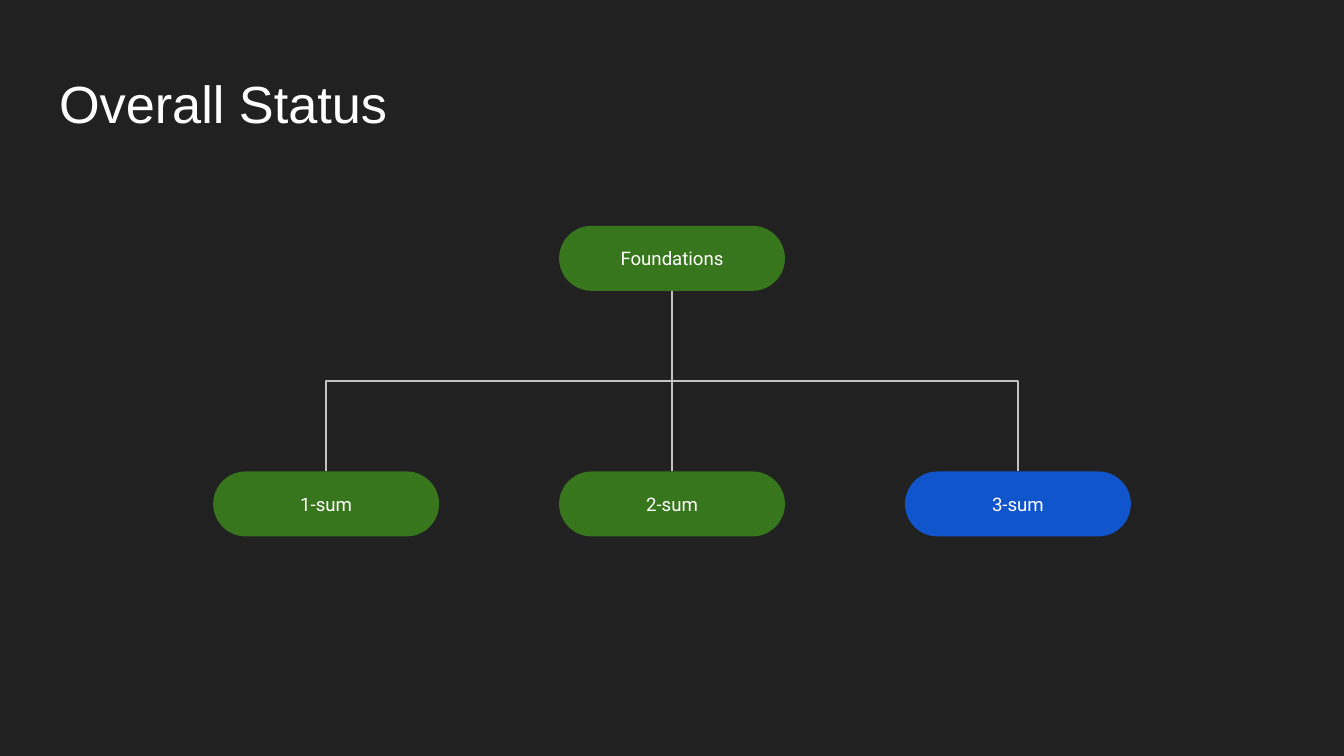
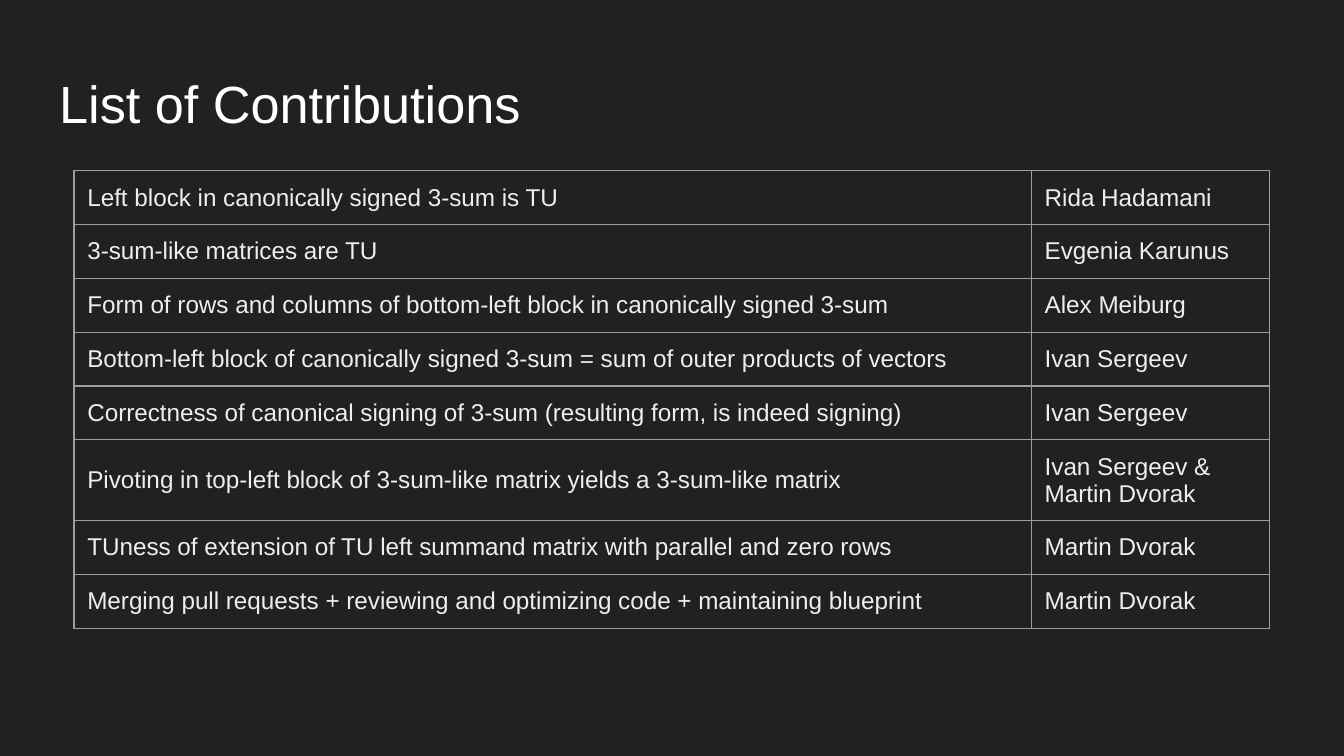
"""Build the status tree and contribution table slides."""
from lxml import etree
from pptx import Presentation
from pptx.dml.color import RGBColor
from pptx.enum import shapes, text
from pptx.oxml import ns
from pptx.util import Pt

COLORS = {
    "background": "212121", "title": "FFFFFF", "label": "FFFFFF", "cell": "EEEEEE",
    "done": "38761D", "active": "1155CC", "branch": "C2C2C2", "border": "9E9E9E",
}
FONTS = {
    "title": {"name": "Arial", "size": Pt(28), "bold": False},
    "label": {"name": "Roboto", "size": Pt(10), "bold": False},
    "cell": {"name": "Arial", "size": Pt(13), "bold": False},
}
INSETS = {f"margin_{side}": Pt(7.2) for side in ("left", "top", "right", "bottom")}
TITLE_BOX = {"left": Pt(24.5), "top": Pt(35), "width": Pt(671), "height": Pt(45)}
TITLE_FRAME = {"vertical_anchor": text.MSO_ANCHOR.TOP, "word_wrap": True,
               "auto_size": text.MSO_AUTO_SIZE.NONE, **INSETS}
LABEL_FRAME = {"vertical_anchor": text.MSO_ANCHOR.MIDDLE, "word_wrap": True, **INSETS}

STATUS_TITLE = "Overall Status"
ROOT = ("Foundations", "done")
SUMS = [("1-sum", "done"), ("2-sum", "done"), ("3-sum", "active")]

CONTRIBUTIONS_TITLE = "List of Contributions"
CONTRIBUTIONS = [
    ("Left block in canonically signed 3-sum is TU", "Rida Hadamani"),
    ("3-sum-like matrices are TU", "Evgenia Karunus"),
    ("Form of rows and columns of bottom-left block in canonically signed 3-sum", "Alex Meiburg"),
    ("Bottom-left block of canonically signed 3-sum = sum of outer products of vectors", "Ivan Sergeev"),
    ("Correctness of canonical signing of 3-sum (resulting form, is indeed signing)", "Ivan Sergeev"),
    ("Pivoting in top-left block of 3-sum-like matrix yields a 3-sum-like matrix",
     "Ivan Sergeev & Martin Dvorak"),
    ("TUness of extension of TU left summand matrix with parallel and zero rows", "Martin Dvorak"),
    ("Merging pull requests + reviewing and optimizing code + maintaining blueprint", "Martin Dvorak"),
]

SLIDE_W, SLIDE_H = 720, 405
NODE_W, NODE_H, NODE_STEP = 121, 34.8, 185.3
ROOT_TOP, SUMS_TOP = 121, 252.6
TABLE_LEFT, TABLE_TOP = 39.6, 91.5
COLUMN_WIDTHS = (512.9, 127.7)
ROW_H, TWO_LINE_ROW_H = 28.85, 43.3
LINE_W = 0.75


def rgb(role):
    return RGBColor.from_string(COLORS[role])


def apply(target, values):
    for attribute, value in values.items():
        setattr(target, attribute, value)


def write(frame, words, role, align=text.PP_ALIGN.LEFT, spacing=1.0):
    paragraph = frame.paragraphs[0]
    apply(paragraph, {"alignment": align, "line_spacing": spacing})
    run = paragraph.add_run()
    run.text = words
    apply(run.font, FONTS[role])
    run.font.color.rgb = rgb(role)


def add_titled_slide(deck, words):
    slide = deck.slides.add_slide(deck.slide_layouts[5])
    title = slide.shapes.title
    apply(title, TITLE_BOX)
    apply(title.text_frame, TITLE_FRAME)
    write(title.text_frame, words, "title", spacing=0.9)
    return slide


def add_node(slide, words, status, center, top):
    node = slide.shapes.add_shape(shapes.MSO_SHAPE.ROUNDED_RECTANGLE, Pt(center - NODE_W / 2),
                                  Pt(top), Pt(NODE_W), Pt(NODE_H))
    node.adjustments[0] = 0.5
    node.shadow.inherit = False
    node.fill.solid()
    node.fill.fore_color.rgb = rgb(status)
    node.line.fill.background()
    apply(node.text_frame, LABEL_FRAME)
    write(node.text_frame, words, "label", text.PP_ALIGN.CENTER)
    return node


def add_branch(slide, root, leaf, offset):
    branch = slide.shapes.add_connector(shapes.MSO_CONNECTOR.ELBOW, 0, 0, 0, 0)
    ends = [(root, 2), (leaf, 0)]
    rightward = offset > 0
    begin, end = ends if rightward else reversed(ends)
    branch.begin_connect(*begin)
    branch.end_connect(*end)
    drop, spread = SUMS_TOP - ROOT_TOP - NODE_H, abs(offset)
    middle_x = (SLIDE_W + offset) / 2
    middle_y = ROOT_TOP + NODE_H + drop / 2
    apply(branch, {"left": Pt(middle_x - drop / 2), "top": Pt(middle_y - spread / 2),
                   "width": Pt(drop), "height": Pt(spread)})
    properties = branch._element.spPr
    turn = {"rot": "16200000", "flipH": str(int(rightward)), "flipV": "0"}
    for key, value in turn.items():
        properties.find(ns.qn("a:xfrm")).set(key, value)
    branch.line.color.rgb = rgb("branch")
    branch.line.width = Pt(LINE_W)
    etree.SubElement(properties, ns.qn("a:effectLst"))


def add_borders(cell):
    properties = cell._tc.get_or_add_tcPr()
    for side in ("lnL", "lnR", "lnT", "lnB"):
        border = etree.SubElement(properties, ns.qn(f"a:{side}"), w=str(Pt(LINE_W)))
        fill = etree.SubElement(border, ns.qn("a:solidFill"))
        etree.SubElement(fill, ns.qn("a:srgbClr"), val=COLORS["border"])


def build_status(deck):
    slide = add_titled_slide(deck, STATUS_TITLE)
    root = add_node(slide, *ROOT, SLIDE_W / 2, ROOT_TOP)
    for index, (words, status) in enumerate(SUMS):
        offset = (index - (len(SUMS) - 1) / 2) * NODE_STEP
        leaf = add_node(slide, words, status, SLIDE_W / 2 + offset, SUMS_TOP)
        add_branch(slide, root, leaf, offset)


def build_contributions(deck):
    slide = add_titled_slide(deck, CONTRIBUTIONS_TITLE)
    heights = [TWO_LINE_ROW_H if "&" in people else ROW_H for _, people in CONTRIBUTIONS]
    table = slide.shapes.add_table(len(CONTRIBUTIONS), len(COLUMN_WIDTHS), Pt(TABLE_LEFT),
                                   Pt(TABLE_TOP), Pt(sum(COLUMN_WIDTHS)), Pt(sum(heights))).table
    apply(table, {"first_row": False, "horz_banding": False})
    for column, width in zip(table.columns, COLUMN_WIDTHS):
        column.width = Pt(width)
    for row, height, entry in zip(table.rows, heights, CONTRIBUTIONS):
        row.height = Pt(height)
        for cell, words in zip(row.cells, entry):
            add_borders(cell)
            cell.fill.background()
            cell.vertical_anchor = text.MSO_ANCHOR.MIDDLE
            write(cell.text_frame, words, "cell")


def main():
    deck = Presentation()
    apply(deck, {"slide_width": Pt(SLIDE_W), "slide_height": Pt(SLIDE_H)})
    backdrop = deck.slide_master.background.fill
    backdrop.solid()
    backdrop.fore_color.rgb = rgb("background")
    build_status(deck)
    build_contributions(deck)
    deck.save("out.pptx")


if __name__ == "__main__":
    main()
